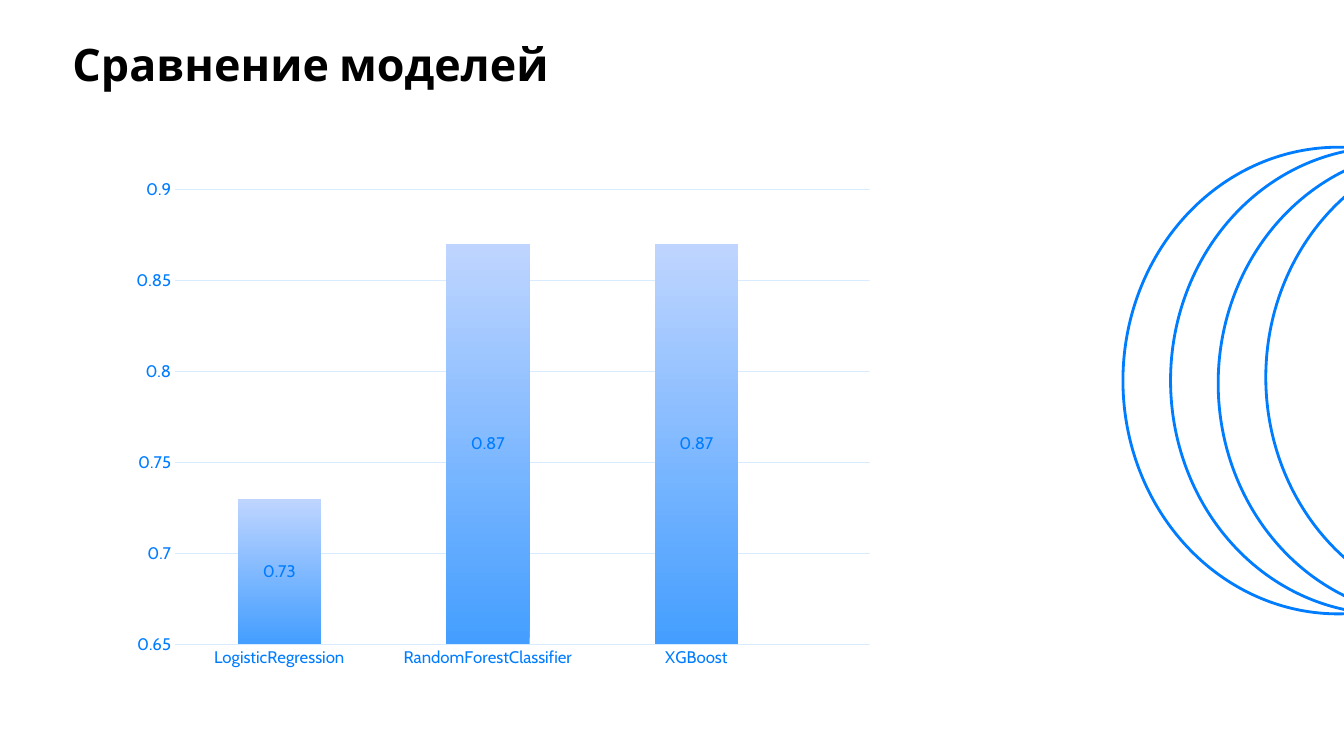
from lxml import etree
from pptx import Presentation
from pptx.chart.data import CategoryChartData
from pptx.dml.color import RGBColor
from pptx.enum.chart import XL_CHART_TYPE, XL_LABEL_POSITION, XL_TICK_MARK
from pptx.enum.shapes import MSO_SHAPE
from pptx.enum.text import MSO_ANCHOR, PP_ALIGN
from pptx.oxml.ns import qn
from pptx.util import Cm, Pt

STACKED = XL_CHART_TYPE.COLUMN_STACKED
CENTER = XL_LABEL_POSITION.CENTER
NO_TICK = XL_TICK_MARK.NONE
OVAL = MSO_SHAPE.OVAL
ROUNDED = MSO_SHAPE.ROUNDED_RECTANGLE
MIDDLE = MSO_ANCHOR.MIDDLE
LEFT = PP_ALIGN.LEFT

FONT = "Cabin"
BLUE = "007DFF"
PALE = "D9EBFF"
WHITE = "FFFFFF"
SCORES = {"LogisticRegression": 0.73, "RandomForestClassifier": 0.87,
          "XGBoost": 0.87, ",": None}


def rgb(value):
    return RGBColor.from_string(value)


def set_font(font, size, color, bold=False):
    font.name = FONT
    font.size = Pt(size)
    font.bold = bold
    font.color.rgb = rgb(color)


def set_line(line, color, width):
    line.color.rgb = rgb(color)
    line.width = Pt(width)


def add_title(s, text):
    title = s.shapes.title
    title.left, title.top, title.width, title.height = Cm(1.57), Cm(0.79), Cm(16.94), Cm(1.63)
    tf = title.text_frame
    tf.text = text
    tf.word_wrap = True
    tf.vertical_anchor = MIDDLE
    p = tf.paragraphs[0]
    p.alignment = LEFT
    set_font(p.font, 32, "000000", True)


def add_outline(s, kind, left, top, width, height, color):
    shape = s.shapes.add_shape(kind, Cm(left), Cm(top), Cm(width), Cm(height))
    shape.shadow.inherit = False
    shape.fill.solid()
    shape.fill.fore_color.rgb = rgb(WHITE)
    set_line(shape.line, color, 2)


def set_plot_layout(chart, x, y, w, h):
    area = chart.element.find(".//" + qn("c:plotArea"))
    for old in area.findall(qn("c:layout")):
        area.remove(old)
    layout = etree.Element(qn("c:layout"))
    manual = etree.SubElement(layout, qn("c:manualLayout"))
    settings = {"layoutTarget": "inner", "xMode": "edge", "yMode": "edge",
                "x": x, "y": y, "w": w, "h": h}
    for tag, value in settings.items():
        etree.SubElement(manual, qn("c:" + tag)).set("val", str(value))
    area.insert(0, layout)


def format_axes(chart):
    for axis in (chart.category_axis, chart.value_axis):
        axis.major_tick_mark = axis.minor_tick_mark = NO_TICK
        set_font(axis.tick_labels.font, 12, BLUE)
    set_line(chart.category_axis.format.line, PALE, 0.75)
    scale = chart.value_axis
    scale.minimum_scale, scale.maximum_scale, scale.major_unit = 0.65, 0.9, 0.05
    scale.format.line.fill.background()
    set_line(scale.major_gridlines.format.line, PALE, 0.75)


def format_bars(plot):
    plot.gap_width = 150
    plot.overlap = 100
    plot.vary_by_categories = False
    bars = plot.series[0]
    fill = bars.format.fill
    fill.gradient()
    fill.gradient_angle = 90
    for stop, color in zip(fill.gradient_stops, ("449EFF", "BFD5FF")):
        stop.color.rgb = rgb(color)
    labels = bars.data_labels
    labels.show_value = True
    labels.position = CENTER
    set_font(labels.font, 12, BLUE)


def add_score_chart(s):
    data = CategoryChartData()
    data.categories = list(SCORES)
    data.add_series("Series 1", list(SCORES.values()))
    frame = s.shapes.add_chart(STACKED, Cm(2.9), Cm(2.18), Cm(22.58), Cm(14.81), data)
    chart = frame.chart
    chart.has_title = False
    chart.has_legend = False
    set_font(chart.font, 10, WHITE)
    set_plot_layout(chart, 0.067, 0.175, 0.931, 0.774)
    format_axes(chart)
    format_bars(chart.plots[0])


def main():
    prs = Presentation()
    prs.slide_width, prs.slide_height = Cm(33.87), Cm(19.05)
    s = prs.slides.add_slide(prs.slide_layouts[5])
    add_score_chart(s)
    add_title(s, "Сравнение моделей")
    for i, top in enumerate((3.71, 3.71, 3.78, 3.63)):
        add_outline(s, OVAL, 28.3 + 1.2 * i, top, 10.85, 11.76, BLUE)
    add_outline(s, ROUNDED, 21.95, 3.28, 5.36, 14.58, WHITE)
    prs.save("out.pptx")


if __name__ == "__main__":
    main()
